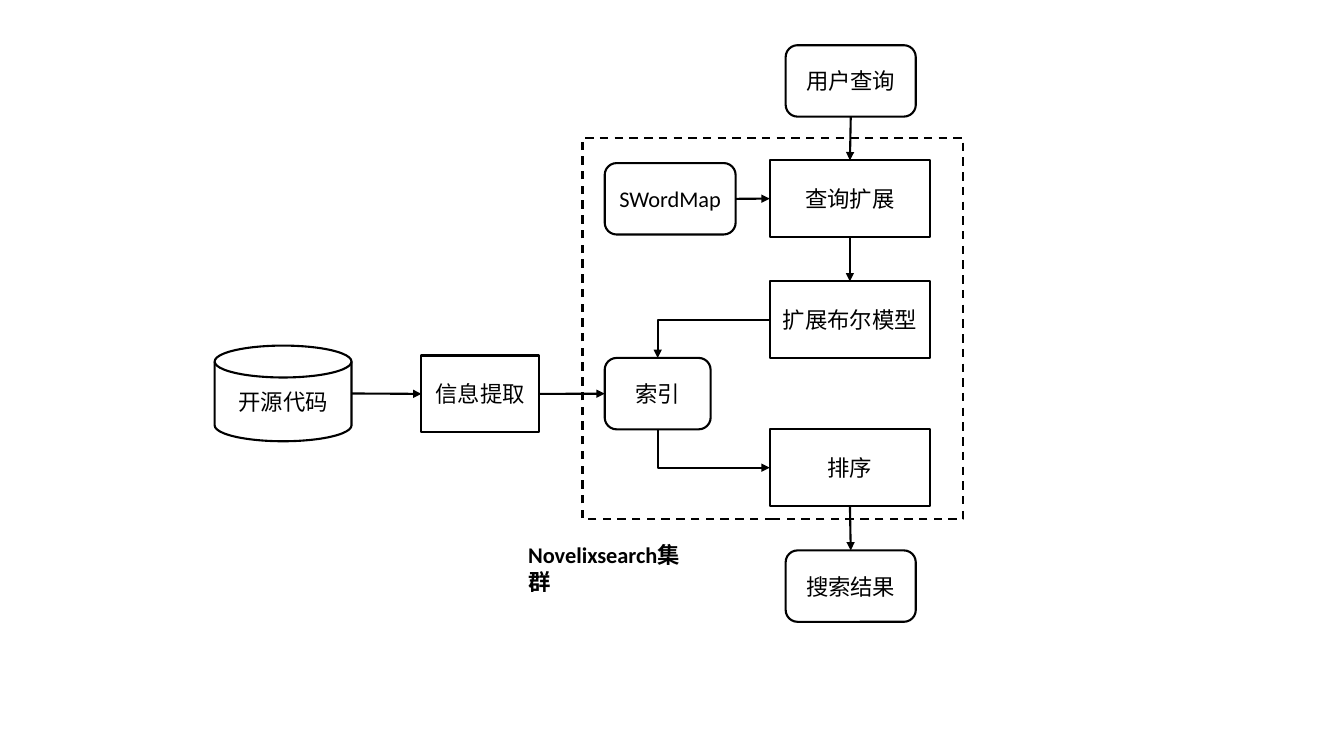
from lxml import etree
from pptx import Presentation
from pptx.dml.color import RGBColor
from pptx.enum.dml import MSO_LINE
from pptx.enum.shapes import MSO_CONNECTOR, MSO_SHAPE
from pptx.enum.text import MSO_ANCHOR, PP_ALIGN
from pptx.oxml.ns import qn
from pptx.util import Cm, Pt

RECT, ROUND = MSO_SHAPE.RECTANGLE, MSO_SHAPE.ROUNDED_RECTANGLE
DISK = MSO_SHAPE.FLOWCHART_MAGNETIC_DISK
STRAIGHT, ELBOW = MSO_CONNECTOR.STRAIGHT, MSO_CONNECTOR.ELBOW
DASH = MSO_LINE.DASH
CENTER, LEFT = PP_ALIGN.CENTER, PP_ALIGN.LEFT
MIDDLE, UPPER = MSO_ANCHOR.MIDDLE, MSO_ANCHOR.TOP
TOP_SITE, LEFT_SITE, BOTTOM_SITE, RIGHT_SITE = range(4)
DISK_RIGHT_SITE = 4
BLACK, WHITE = "000000", "FFFFFF"
LINE_WIDTH = 1.5
STEP_SIZE = (4.04, 1.93)
END_SIZE = (3.28, 1.8)


def color(value):
    """Turn a hex string into a colour."""
    return RGBColor.from_string(value)


def write(shape, text, size=16, bold=False, align=CENTER, anchor=MIDDLE):
    """Write one formatted paragraph into a shape."""
    frame = shape.text_frame
    frame.word_wrap = True
    frame.vertical_anchor = anchor
    para = frame.paragraphs[0]
    para.alignment = align
    span = para.add_run()
    span.text = text
    span.font.name = "Calibri"
    span.font.size = Pt(size)
    span.font.bold = bold
    span.font.color.rgb = color(BLACK)


def add_node(page, kind, left, top, size, text=None, dash=None):
    """Add a white outlined shape with optional text."""
    node = page.shapes.add_shape(kind, Cm(left), Cm(top), *map(Cm, size))
    node.shadow.inherit = False
    node.fill.solid()
    node.fill.fore_color.rgb = color(WHITE)
    node.line.color.rgb = color(BLACK)
    node.line.width = Pt(LINE_WIDTH)
    if dash:
        node.line.dash_style = dash
    if text:
        write(node, text)
    return node


def add_arrow(page, start, start_site, end, end_site, kind=STRAIGHT, arrow_end="tailEnd"):
    """Join two nodes with an arrow glued to their sites."""
    link = page.shapes.add_connector(kind, 0, 0, 0, 0)
    link.begin_connect(start, start_site)
    link.end_connect(end, end_site)
    link.line.color.rgb = color(BLACK)
    link.line.width = Pt(LINE_WIDTH)
    properties = link.element.spPr
    if kind == ELBOW:
        properties.find(qn("a:prstGeom")).set("prst", "bentConnector2")
    outline = properties.find(qn("a:ln"))
    etree.SubElement(outline, qn("a:" + arrow_end), type="triangle")
    etree.SubElement(properties, qn("a:effectLst"))
    return link


def add_cluster(page, left, top, size):
    """Draw the dashed search cluster and return its outer nodes."""
    add_node(page, RECT, left, top, size, dash=DASH)
    step_left = left + 4.72
    word_map = add_node(page, ROUND, left + 0.56, top + 0.63, (3.3, 1.8), "SWordMap")
    expansion = add_node(page, RECT, step_left, top + 0.56, STEP_SIZE, "查询扩展")
    model = add_node(page, RECT, step_left, top + 3.61, STEP_SIZE, "扩展布尔模型")
    index = add_node(page, ROUND, left + 0.56, top + 5.54, (2.67, 1.8), "索引")
    ranking = add_node(page, RECT, step_left, top + 7.34, STEP_SIZE, "排序")
    add_arrow(page, word_map, RIGHT_SITE, expansion, LEFT_SITE)
    add_arrow(page, expansion, BOTTOM_SITE, model, TOP_SITE)
    add_arrow(page, model, LEFT_SITE, index, TOP_SITE, ELBOW)
    add_arrow(page, ranking, LEFT_SITE, index, BOTTOM_SITE, ELBOW, "headEnd")
    label = page.shapes.add_textbox(Cm(left - 1.62), Cm(top + 10.03), Cm(4.5), Cm(1.6))
    write(label, "Novelixsearch集群", bold=True, align=LEFT, anchor=UPPER)
    return expansion, index, ranking


def add_source(page, left, top, index):
    """Draw the code store and the extraction that feeds the index."""
    store = add_node(page, DISK, left, top, (3.45, 2.41), "开源代码")
    extraction = add_node(page, RECT, left + 5.21, top + 0.25, (2.97, 1.93), "信息提取")
    feed = add_arrow(page, store, RIGHT_SITE, extraction, LEFT_SITE)
    feed.element.find(".//" + qn("a:stCxn")).set("idx", str(DISK_RIGHT_SITE))
    add_arrow(page, extraction, RIGHT_SITE, index, LEFT_SITE)


def add_ends(page, left, top, expansion, ranking):
    """Draw the query above and the result below the cluster."""
    query = add_node(page, ROUND, left, top, END_SIZE, "用户查询")
    result = add_node(page, ROUND, left, top + 12.73, END_SIZE, "搜索结果")
    add_arrow(page, query, BOTTOM_SITE, expansion, TOP_SITE)
    add_arrow(page, ranking, BOTTOM_SITE, result, TOP_SITE)


def main():
    """Build and save the deck."""
    deck = Presentation()
    deck.slide_width, deck.slide_height = Cm(33.87), Cm(19.05)
    page = deck.slides.add_slide(deck.slide_layouts[6])
    expansion, index, ranking = add_cluster(page, 14.68, 3.48, (9.6, 9.6))
    add_source(page, 5.41, 8.71, index)
    add_ends(page, 19.8, 1.14, expansion, ranking)
    deck.save("out.pptx")


main()
